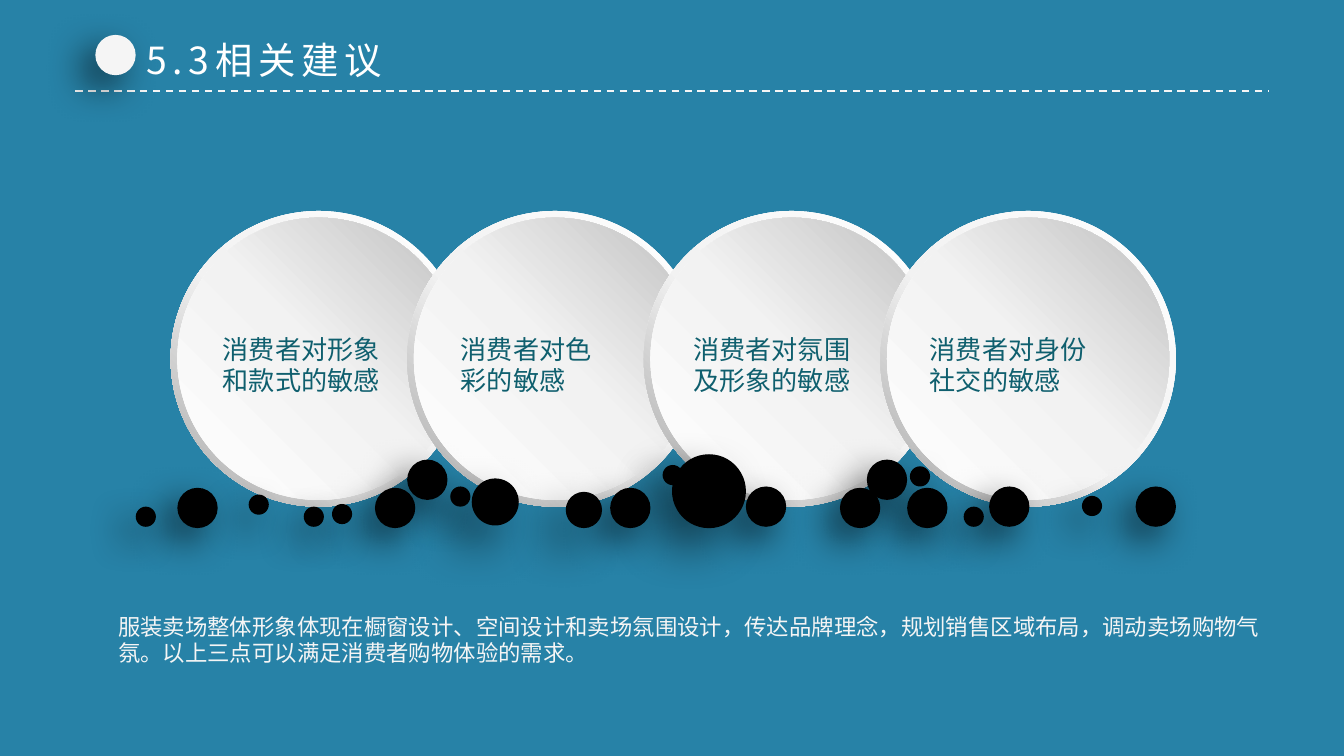
from lxml import etree
from pptx import Presentation
from pptx.dml.color import RGBColor
from pptx.enum.dml import MSO_LINE
from pptx.enum.shapes import MSO_CONNECTOR, MSO_SHAPE
from pptx.enum.text import MSO_ANCHOR, MSO_AUTO_SIZE, PP_ALIGN
from pptx.oxml import parse_xml
from pptx.oxml.ns import nsdecls, qn
from pptx.util import Inches, Pt

ELLIPSE = MSO_SHAPE.OVAL
DONUT = MSO_SHAPE.DONUT
STRAIGHT = MSO_CONNECTOR.STRAIGHT
DASH = MSO_LINE.DASH
TOP = MSO_ANCHOR.TOP
LEFT = PP_ALIGN.LEFT
GROW = MSO_AUTO_SIZE.SHAPE_TO_FIT_TEXT
FONT = "Noto Sans CJK SC"
PALE = "F5F5F5"
TEAL = "0F5F6E"
color = RGBColor.from_string


def write_text(shape, box, text, size, hex_color, spacing=0):
    """Place a text shape and format its paragraphs; spacing is in points."""
    shape.left, shape.top, shape.width, shape.height = map(Inches, box)
    frame = shape.text_frame
    frame.text = text
    frame.word_wrap = False
    frame.auto_size = GROW
    frame.vertical_anchor = TOP
    for paragraph in frame.paragraphs:
        paragraph.alignment = LEFT
        for run in paragraph.runs:
            run.font.size = Pt(size)
            run.font.name = FONT
            run.font.color.rgb = color(hex_color)
            properties = run.font._element
            etree.SubElement(properties, qn("a:ea")).set("typeface", FONT)
            if spacing:
                properties.set("spc", str(spacing * 100))


def add_dot(left, top, size, hex_color, opacity=60, blur=20, distance=10):
    """Add a plain circle that casts a soft shadow to the lower left."""
    dot = slide.shapes.add_shape(ELLIPSE, *map(Inches, (left, top, size, size)))
    dot.fill.solid()
    dot.fill.fore_color.rgb = color(hex_color)
    dot.line.fill.background()
    dot.shadow.inherit = False
    dot._element.spPr.find(qn("a:effectLst")).append(parse_xml(
        f'<a:outerShdw {nsdecls("a")} blurRad="{Pt(blur)}" dist="{Pt(distance)}" '
        f'dir="8100000" algn="tr" rotWithShape="0"><a:srgbClr val="000000">'
        f'<a:alpha val="{opacity * 1000}"/></a:srgbClr></a:outerShdw>'))


presentation = Presentation()
presentation.slide_width = Inches(10)
presentation.slide_height = Inches(10) * 9 // 16
slide = presentation.slides.add_slide(presentation.slide_layouts[5])
slide.background.fill.solid()
slide.background.fill.fore_color.rgb = color("2782A7")

# Heading
rule = slide.shapes.add_connector(
    STRAIGHT, Inches(0.56), Inches(0.68), Inches(9.44), Inches(0.68))
rule.line.color.rgb = color(PALE)
rule.line.width = Pt(1)
rule.line.dash_style = DASH
etree.SubElement(rule._element.spPr, qn("a:effectLst"))
add_dot(0.71, 0.26, 0.3, PALE)
write_text(slide.shapes.title, (0.99, 0.23, 2.06, 0.44), "5.3相关建议", 20, "FFFFFF", 3)

# Summary
summary = slide.shapes.add_textbox(0, 0, 0, 0)
write_text(summary, (0.78, 4.51, 8.78, 0.5),
           "服装卖场整体形象体现在橱窗设计、空间设计和卖场氛围设计，传达品牌理念，规划销售区域布局，调动卖场购物气\n"
           "氛。以上三点可以满足消费者购物体验的需求。", 12, PALE)

# Overlapping discs: a rim and a face, shaded in opposite directions
DISC_LEFT, DISC_TOP, DISC_STEP = 1.27, 1.57, 1.76
DISC_PARTS = [  # preset, inset, size, middle stop, end colour, angle
    (DONUT, 0, 2.2, 55, "A6A6A6", 135),
    (ELLIPSE, 0.05, 2.1, 51, "BFBFBF", 315),
]
for index in range(4):
    group = slide.shapes.add_group_shape()
    for preset, inset, size, middle, end_color, angle in DISC_PARTS:
        part = group.shapes.add_shape(
            preset, Inches(DISC_LEFT + index * DISC_STEP + inset),
            Inches(DISC_TOP + inset), Inches(size), Inches(size))
        if preset == DONUT:
            part.adjustments[0] = 0.05
        stops = "".join(
            f'<a:gs pos="{position * 1000}"><a:srgbClr val="{stop_color}"/></a:gs>'
            for position, stop_color in ((0, "FFFFFF"), (middle, "F2F2F2"), (100, end_color)))
        part._element.spPr.insert(2, parse_xml(
            f'<a:gradFill {nsdecls("a")} rotWithShape="1"><a:gsLst>{stops}</a:gsLst>'
            f'<a:lin ang="{angle * 60000}" scaled="0"/></a:gradFill>'))
        part.line.fill.background()
        part.shadow.inherit = False

DISC_LABELS = [
    (1.56, 1.4, "消费者对形象\n和款式的敏感"),
    (3.33, 1.2, "消费者对色\n彩的敏感"),
    (5.06, 1.4, "消费者对氛围\n及形象的敏感"),
    (6.82, 1.4, "消费者对身份\n社交的敏感"),
]
for left, width, text in DISC_LABELS:
    label = slide.shapes.add_textbox(0, 0, 0, 0)
    write_text(label, (left, 2.43, width, 0.58), text, 14, TEAL)

# Scattered dots
LARGE_DOTS = [(5, 3.38, 0.55), (4.21, 3.66, 0.27), (3.51, 3.56, 0.35)]
MEDIUM_DOTS = [
    (6.25, 3.63), (2.79, 3.63), (6.75, 3.63), (7.36, 3.62), (4.54, 3.63),
    (6.45, 3.42), (5.55, 3.62), (1.32, 3.63), (3.03, 3.42), (8.45, 3.62),
]
SMALL_DOTS = [
    (2.47, 3.75), (3.35, 3.62), (7.17, 3.77), (8.05, 3.69), (2.26, 3.77),
    (4.93, 3.46), (1.01, 3.77), (1.85, 3.68), (6.77, 3.47),
]
for left, top, size in LARGE_DOTS:
    add_dot(left, top, size, "000000", opacity=50, blur=25, distance=15)
for size, places in ((0.3, MEDIUM_DOTS), (0.15, SMALL_DOTS)):
    for left, top in places:
        add_dot(left, top, size, "000000")

presentation.save("out.pptx")
